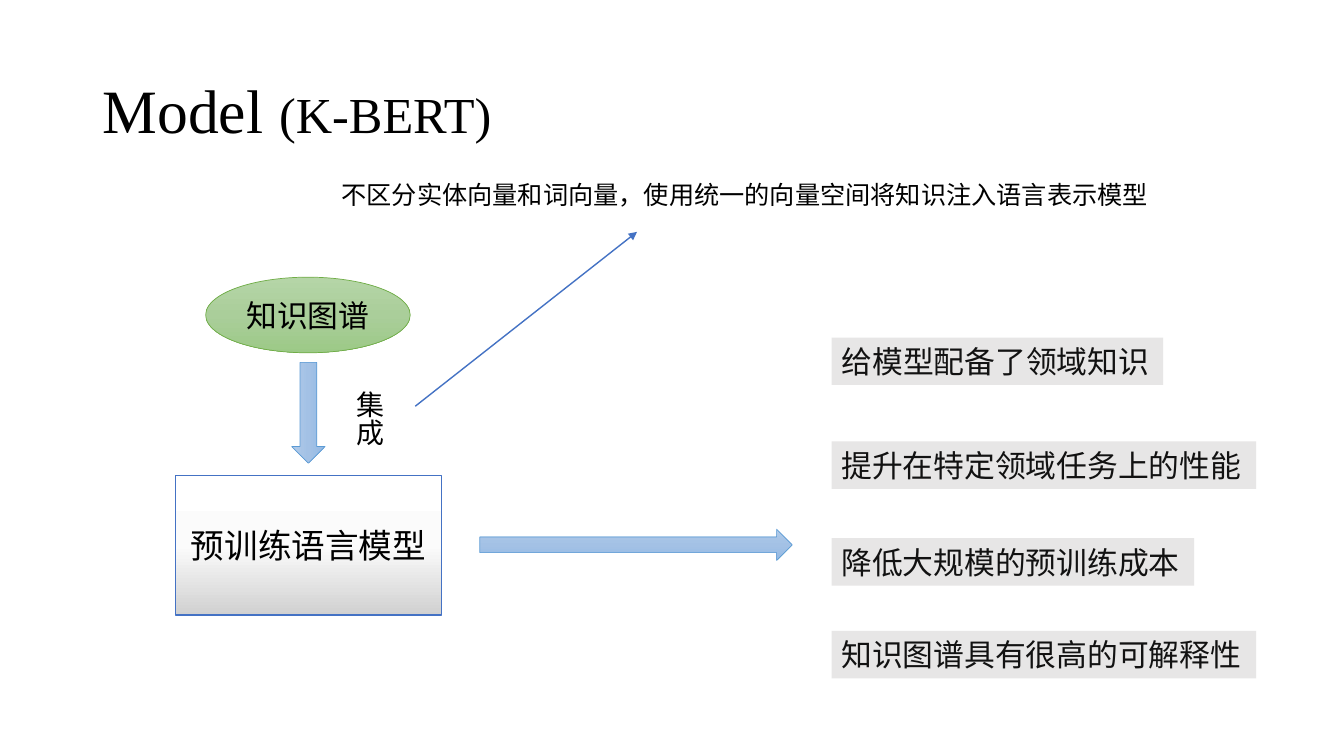
"""Build the K-BERT model slide on a grid of tenth-inch cells."""
from copy import deepcopy
from dataclasses import dataclass

from lxml.etree import SubElement
from pptx import Presentation
from pptx.dml.color import RGBColor
from pptx.enum.shapes import MSO_CONNECTOR as Link, MSO_SHAPE as Preset
from pptx.enum.text import MSO_ANCHOR as Anchor, MSO_AUTO_SIZE as AutoSize, PP_ALIGN as Align
from pptx.oxml.ns import qn
from pptx.util import Emu, Inches, Pt

CELL = Inches(0.1)
COLUMNS, ROWS = 133.33, 75
HAN, LATIN = "Noto Sans CJK SC", "Times New Roman"
BLACK, INK, GREY = "000000", "121212", "E7E6E6"
BLUE, SKY, GREEN = "4472C4", "5B9BD5", "70AD47"
SKY_FADE = ("B1CBE9", "A3C1E5", "93B9E4")
CARD_LEFT, CARD_HEIGHT = 82.5, 4.7
GLYPH_WIDTH, CARD_PADDING = 3.07, 2.2


@dataclass(frozen=True)
class Area:
    column: float
    row: float
    width: float
    height: float


@dataclass(frozen=True)
class Node:
    preset: Preset
    area: Area
    fade: tuple[str, str, str]
    edge: str
    edge_width: float = 0.5
    turn: int = 0
    label: str = ""
    size: int = 22


@dataclass(frozen=True)
class Benefit:
    row: float
    label: str


NODES = (
    Node(Preset.OVAL, Area(20.4, 27.5, 20.3, 7.5), ("B5D5A7", "AACE9A", "9CC987"), GREEN,
         label="知识图谱"),
    Node(Preset.RECTANGLE, Area(17.4, 47.2, 26.4, 13.8), ("FFFFFF", "FBFBFB", "D1D1D1"), BLUE,
         edge_width=1, label="预训练语言模型", size=24),
    Node(Preset.LEFT_ARROW, Area(25.6, 39.3, 10, 3.3), SKY_FADE, SKY, turn=270),
    Node(Preset.RIGHT_ARROW, Area(47.6, 52.5, 31, 3.1), SKY_FADE, SKY),
)
BENEFITS = (
    Benefit(33.5, "给模型配备了领域知识"),
    Benefit(43.8, "提升在特定领域任务上的性能"),
    Benefit(53.4, "降低大规模的预训练成本"),
    Benefit(62.6, "知识图谱具有很高的可解释性"),
)


def cells(count: float) -> Emu:
    return Emu(round(count * CELL))


def place(area: Area) -> tuple[Emu, ...]:
    return tuple(map(cells, (area.column, area.row, area.width, area.height)))


def color(value: str) -> RGBColor:
    return RGBColor.from_string(value)


def write(frame, *pieces: tuple[str, int], font: str = HAN, ink: str = BLACK,
          align: Align = Align.LEFT, anchor: Anchor = Anchor.TOP, spacing: float = 1.0,
          wrap: bool = True, grow: bool = False) -> None:
    frame.word_wrap = wrap
    frame.auto_size = AutoSize.SHAPE_TO_FIT_TEXT if grow else AutoSize.NONE
    frame.vertical_anchor = anchor
    para = frame.paragraphs[0]
    para.alignment, para.line_spacing = align, spacing
    for words, size in pieces:
        span = para.add_run()
        span.text = words
        span.font.size, span.font.name = Pt(size), font
        span.font.color.rgb = color(ink)
        SubElement(span.font._element, qn("a:ea"), typeface=font)


def fade_down(shape, shades: tuple[str, str, str]) -> None:
    shape.fill.gradient()
    shape.fill.gradient_angle = 270
    stops = shape._element.spPr.find(qn("a:gradFill")).find(qn("a:gsLst"))
    stops.insert(1, deepcopy(stops[0]))
    for stop, shade, position in zip(shape.fill.gradient_stops, shades, (0, 0.5, 1)):
        stop.color.rgb, stop.position = color(shade), position


def draw_node(page, node: Node) -> None:
    shape = page.shapes.add_shape(node.preset, *place(node.area))
    shape.shadow.inherit = False
    shape.rotation = node.turn
    fade_down(shape, node.fade)
    shape.line.color.rgb, shape.line.width = color(node.edge), Pt(node.edge_width)
    if node.label:
        write(shape.text_frame, (node.label, node.size), align=Align.CENTER,
              anchor=Anchor.MIDDLE)


def draw_benefit(page, benefit: Benefit) -> None:
    width = len(benefit.label) * GLYPH_WIDTH + CARD_PADDING
    area = Area(CARD_LEFT, benefit.row, width, CARD_HEIGHT)
    card = page.shapes.add_shape(Preset.RECTANGLE, *place(area))
    card.shadow.inherit = False
    card.fill.solid()
    card.fill.fore_color.rgb = color(GREY)
    card.line.fill.background()
    write(card.text_frame, (benefit.label, 22), ink=INK, grow=True)


def draw_pointer(page, start: tuple[float, float], end: tuple[float, float]) -> None:
    pointer = page.shapes.add_connector(Link.STRAIGHT, *map(cells, start + end))
    pointer.line.color.rgb, pointer.line.width = color(BLUE), Pt(1)
    SubElement(pointer.line._get_or_add_ln(), qn("a:tailEnd"), type="triangle")
    SubElement(pointer._element.spPr, qn("a:effectLst"))


def add_text(page, area: Area):
    return page.shapes.add_textbox(*place(area)).text_frame


def main() -> None:
    deck = Presentation()
    deck.slide_width, deck.slide_height = cells(COLUMNS), cells(ROWS)
    page = deck.slides.add_slide(deck.slide_layouts[6])
    write(add_text(page, Area(9.2, 4, 115, 14.5)), ("Model ", 44), ("(K-BERT)", 36),
          font=LATIN, anchor=Anchor.MIDDLE, spacing=0.9)
    for node in NODES:
        draw_node(page, node)
    integration = add_text(page, Area(33.4, 37.8, 5.4, 6.6))
    write(integration, ("集成", 20), wrap=False, grow=True)
    integration._txBody.bodyPr.set("vert", "eaVert")
    for benefit in BENEFITS:
        draw_benefit(page, benefit)
    write(add_text(page, Area(32.9, 17.3, 83.2, 4)),
          ("不区分实体向量和词向量，使用统一的向量空间将知识注入语言表示模型", 18), grow=True)
    draw_pointer(page, (41.2, 40.3), (63.2, 23))
    deck.save("out.pptx")


main()
